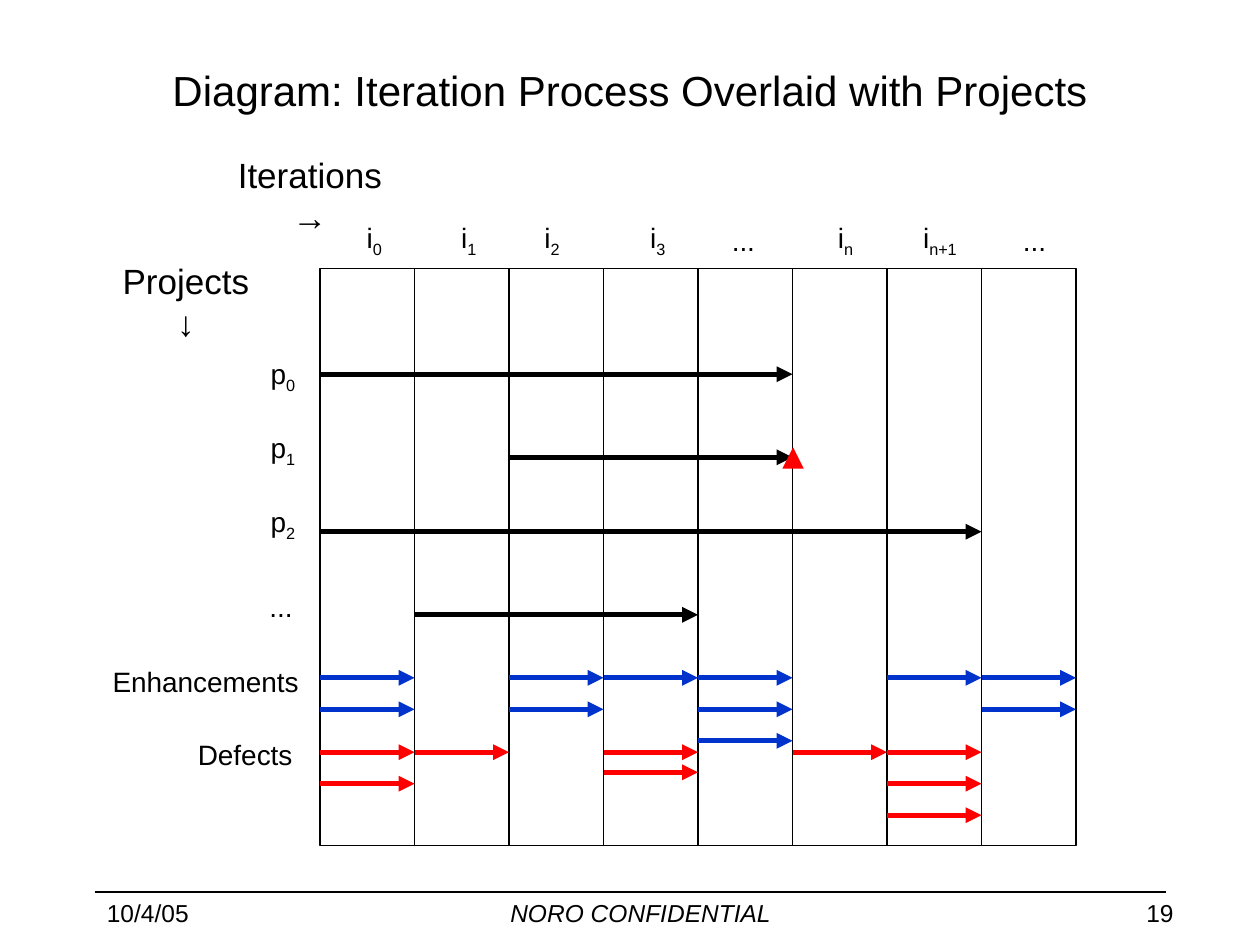
from dataclasses import dataclass

from lxml import etree
from pptx import Presentation
from pptx.dml.color import RGBColor
from pptx.enum import shapes, text
from pptx.oxml.ns import qn
from pptx import util as u

Align = text.PP_ALIGN
Anchor = text.MSO_ANCHOR


@dataclass(frozen=True)
class Theme:
    font: str = "Arial"
    ink: str = "000000"
    enhancement: str = "0033CC"
    defect: str = "FF0000"
    title_size: float = 24
    axis_size: float = 20
    label_size: float = 16
    footer_size: float = 14
    grid_width: float = 0.75
    rule_width: float = 1
    arrow_width: float = 3


@dataclass(frozen=True)
class Grid:
    left: float = 2.54
    top: float = 2.13
    column_width: float = 0.75
    height: float = 4.58
    columns: int = 8

    def x(self, column: int) -> float:
        return self.left + column * self.column_width


@dataclass(frozen=True)
class Label:
    left: float
    top: float
    width: float
    height: float
    words: str
    subscript: str = ""
    size: float = Theme.label_size
    align: Align = Align.CENTER
    anchor: Anchor = Anchor.MIDDLE
    italic: bool = False
    wrap: bool = False


@dataclass(frozen=True)
class Span:
    """An arrow at one height, from one grid line to another."""
    y: float
    start: int
    end: int
    color: str = Theme.ink


THEME = Theme()
GRID = Grid()

# Text around the grid; the axis names wrap before their arrows
AXES = [
    Label(1.66, 1.33, 1.6, 0.44, "Iterations →", size=THEME.axis_size, wrap=True),
    Label(0.78, 2.17, 1.39, 0.44, "Projects ↓", size=THEME.axis_size, wrap=True),
]
ITERATIONS = [
    Label(left, 1.7, width, 0.41, "i", subscript)
    for left, width, subscript in [
        (2.81, 0.32, "0"), (3.56, 0.32, "1"), (4.22, 0.32, "2"),
        (5.06, 0.32, "3"), (6.55, 0.32, "n"), (7.21, 0.5, "n+1"),
    ]
]
PROJECTS = [
    Label(2.05, top, 0.45, 0.41, "p", str(number), align=Align.LEFT)
    for number, top in enumerate([2.78, 3.36, 3.95])
]
ELLIPSES = [Label(left, top, 0.42, 0.37, "...")
            for left, top in [(5.69, 1.72), (8, 1.72), (2.02, 4.63)]]
WORK_TYPES = [
    Label(0.79, 5.22, 1.68, 0.37, "Enhancements", align=Align.RIGHT),
    Label(1.47, 5.8, 0.95, 0.37, "Defects", align=Align.RIGHT),
]
FOOTER = [
    Label(left, 7.08, width, 0.34, words, size=THEME.footer_size, align=align,
          anchor=Anchor.TOP, italic=italic, wrap=True)
    for left, width, words, align, italic in [
        (0.75, 1, "10/4/05", Align.LEFT, False),
        (3.5, 3.17, "NORO CONFIDENTIAL", Align.CENTER, True),
        (9, 0.44, "19", Align.LEFT, False),
    ]
]

# Arrows across the grid
PROJECT_SPANS = [Span(2.97, 0, 5), Span(3.63, 2, 5),
                 Span(4.22, 0, 7), Span(4.88, 1, 4)]
ITERATION_SPANS = [
    Span(y, column, column + 1, color)
    for color, y, columns in [
        (THEME.enhancement, 5.38, (0, 2, 3, 4, 6, 7)),
        (THEME.enhancement, 5.63, (0, 2, 4, 7)),
        (THEME.enhancement, 5.88, (4,)),
        (THEME.defect, 5.97, (0, 1, 3, 5, 6)),
        (THEME.defect, 6.13, (3,)),
        (THEME.defect, 6.22, (0, 6)),
        (THEME.defect, 6.47, (6,)),
    ]
    for column in columns
]


def add_run(paragraph, words: str, size: float, italic: bool = False,
            subscript: bool = False) -> None:
    run = paragraph.add_run()
    run.text = words
    run.font.name = THEME.font
    run.font.size = u.Pt(size)
    run.font.italic = italic
    run.font.color.rgb = RGBColor.from_string(THEME.ink)
    if subscript:
        run.font._element.set("baseline", "-25000")


def add_label(slide, label: Label) -> None:
    shape = slide.shapes.add_textbox(
        u.Inches(label.left), u.Inches(label.top),
        u.Inches(label.width), u.Inches(label.height))
    frame = shape.text_frame
    frame.word_wrap = label.wrap
    frame.vertical_anchor = label.anchor
    paragraph = frame.paragraphs[0]
    paragraph.alignment = label.align
    add_run(paragraph, label.words, label.size, label.italic)
    if label.subscript:
        add_run(paragraph, label.subscript, label.size, subscript=True)


def add_line(slide, left: float, right: float, y: float, color: str,
             width: float, arrow: bool = False) -> None:
    connector = slide.shapes.add_connector(
        shapes.MSO_CONNECTOR.STRAIGHT,
        u.Inches(left), u.Inches(y), u.Inches(right), u.Inches(y))
    connector.line.color.rgb = RGBColor.from_string(color)
    connector.line.width = u.Pt(width)
    if arrow:
        line = connector.line._get_or_add_ln()
        etree.SubElement(line, qn("a:tailEnd"), type="triangle")
    etree.SubElement(connector._element.spPr, qn("a:effectLst"))


def add_span(slide, span: Span) -> None:
    add_line(slide, GRID.x(span.start), GRID.x(span.end), span.y,
             span.color, THEME.arrow_width, arrow=True)


def add_title(slide, words: str) -> None:
    title = slide.shapes.title
    title.left, title.top = u.Inches(0.75), u.Inches(0.42)
    title.width, title.height = u.Inches(8.5), u.Inches(0.58)
    frame = title.text_frame
    frame.auto_size = text.MSO_AUTO_SIZE.NONE
    frame.vertical_anchor = Anchor.MIDDLE
    frame.paragraphs[0].alignment = Align.CENTER
    add_run(frame.paragraphs[0], words, THEME.title_size)


def add_columns(slide) -> None:
    for column in range(GRID.columns):
        shape = slide.shapes.add_shape(
            shapes.MSO_SHAPE.RECTANGLE, u.Inches(GRID.x(column)),
            u.Inches(GRID.top), u.Inches(GRID.column_width),
            u.Inches(GRID.height))
        shape.shadow.inherit = False
        shape.fill.background()
        shape.line.color.rgb = RGBColor.from_string(THEME.ink)
        shape.line.width = u.Pt(THEME.grid_width)


def add_milestone(slide) -> None:
    shape = slide.shapes.add_shape(
        shapes.MSO_SHAPE.ISOSCELES_TRIANGLE, u.Inches(6.21), u.Inches(3.55),
        u.Inches(0.17), u.Inches(0.17))
    shape.shadow.inherit = False
    shape.fill.solid()
    shape.fill.fore_color.rgb = RGBColor.from_string(THEME.defect)
    shape.line.fill.background()


def main() -> None:
    presentation = Presentation()
    presentation.slide_width = u.Inches(10)
    presentation.slide_height = u.Inches(7.5)
    slide = presentation.slides.add_slide(presentation.slide_layouts[5])
    add_title(slide, "Diagram: Iteration Process Overlaid with Projects")
    add_line(slide, 0.75, 9.25, 7.08, THEME.ink, THEME.rule_width)
    add_columns(slide)
    for label in AXES + ITERATIONS + PROJECTS + ELLIPSES + WORK_TYPES + FOOTER:
        add_label(slide, label)
    for span in PROJECT_SPANS + ITERATION_SPANS:
        add_span(slide, span)
    add_milestone(slide)
    presentation.save("out.pptx")


if __name__ == "__main__":
    main()
